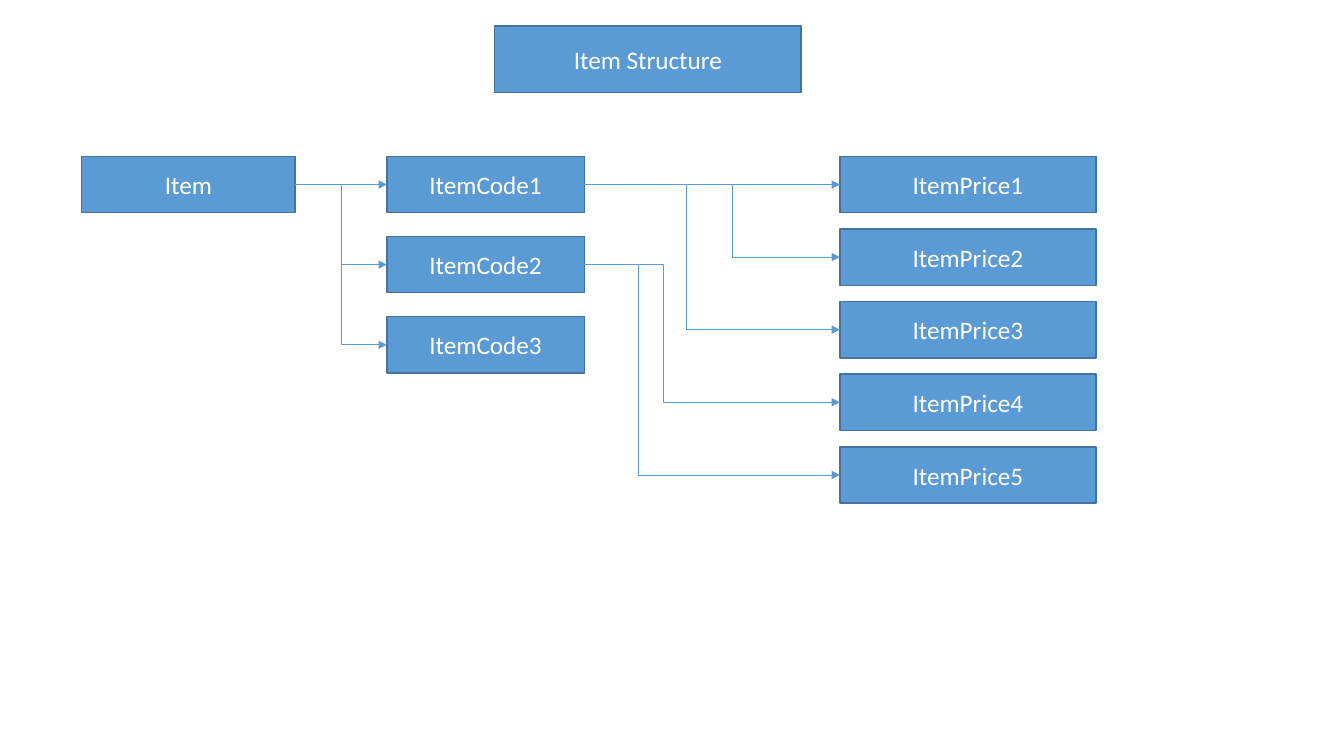
"""Build the Item Structure slide: an item, its codes and their prices."""
from lxml import etree
from pptx import Presentation
from pptx.dml.color import RGBColor
from pptx.enum.shapes import MSO_CONNECTOR, MSO_SHAPE
from pptx.enum.text import MSO_ANCHOR, PP_ALIGN
from pptx.oxml.ns import qn
from pptx.util import Cm, Pt

RECTANGLE = MSO_SHAPE.RECTANGLE
STRAIGHT, ELBOW = MSO_CONNECTOR.STRAIGHT, MSO_CONNECTOR.ELBOW
MIDDLE, CENTER = MSO_ANCHOR.MIDDLE, PP_ALIGN.CENTER
LEFT_SITE, RIGHT_SITE = 1, 3

COLORS = {"box": "5B9BD5", "border": "43739E", "text": "FFFFFF", "link": "5B9BD5"}
FONT = "Calibri"

TITLE = ("Item Structure", 12.47, 0.66, 7.72, 1.68)
COLUMNS = [
    {"labels": ["Item"], "left": 2.06, "width": 5.38, "pitch": 0},
    {"labels": ["ItemCode1", "ItemCode2", "ItemCode3"],
     "left": 9.75, "width": 4.98, "pitch": 2.02},
    {"labels": ["ItemPrice1", "ItemPrice2", "ItemPrice3", "ItemPrice4", "ItemPrice5"],
     "left": 21.17, "width": 6.45, "pitch": 1.83},
]
TOP, BOX_HEIGHT = 3.94, 1.42

LINKS = [
    ("Item", "ItemCode1", 0.5),
    ("Item", "ItemCode2", 0.5),
    ("Item", "ItemCode3", 0.5),
    ("ItemCode1", "ItemPrice1", 0.5),
    ("ItemCode1", "ItemPrice2", 0.58),
    ("ItemCode1", "ItemPrice3", 0.4),
    ("ItemCode2", "ItemPrice4", 0.31),
    ("ItemCode2", "ItemPrice5", 0.21),
]


def rgb(role):
    return RGBColor.from_string(COLORS[role])


def add_box(slide, label, left, top, width, height):
    box = slide.shapes.add_shape(RECTANGLE, Cm(left), Cm(top), Cm(width), Cm(height))
    box.shadow.inherit = False
    box.fill.solid()
    box.fill.fore_color.rgb = rgb("box")
    box.line.color.rgb = rgb("border")
    box.line.width = Pt(1)
    box.text_frame.vertical_anchor = MIDDLE
    paragraph = box.text_frame.paragraphs[0]
    paragraph.alignment = CENTER
    run = paragraph.add_run()
    run.text = label
    run.font.name = FONT
    run.font.size = Pt(18)
    run.font.color.rgb = rgb("text")
    return box


def add_link(slide, parent, child, bend):
    kind = STRAIGHT if parent.top == child.top else ELBOW
    link = slide.shapes.add_connector(kind, 0, 0, 0, 0)
    link.begin_connect(parent, RIGHT_SITE)
    link.end_connect(child, LEFT_SITE)
    link.line.color.rgb = rgb("link")
    link.line.width = Pt(0.5)
    properties = link._element.spPr
    etree.SubElement(properties.find(qn("a:ln")), qn("a:tailEnd"), type="triangle")
    etree.SubElement(properties, qn("a:effectLst"))
    if kind == ELBOW:
        guides = properties.find(qn("a:prstGeom")).find(qn("a:avLst"))
        etree.SubElement(guides, qn("a:gd"), name="adj1", fmla=f"val {round(bend * 100000)}")


presentation = Presentation()
presentation.slide_width, presentation.slide_height = Cm(33.87), Cm(19.05)
slide = presentation.slides.add_slide(presentation.slide_layouts[6])

add_box(slide, *TITLE)
boxes = {}
for column in COLUMNS:
    for row, label in enumerate(column["labels"]):
        top = TOP + row * column["pitch"]
        boxes[label] = add_box(slide, label, column["left"], top, column["width"], BOX_HEIGHT)
for parent, child, bend in LINKS:
    add_link(slide, boxes[parent], boxes[child], bend)

presentation.save("out.pptx")
